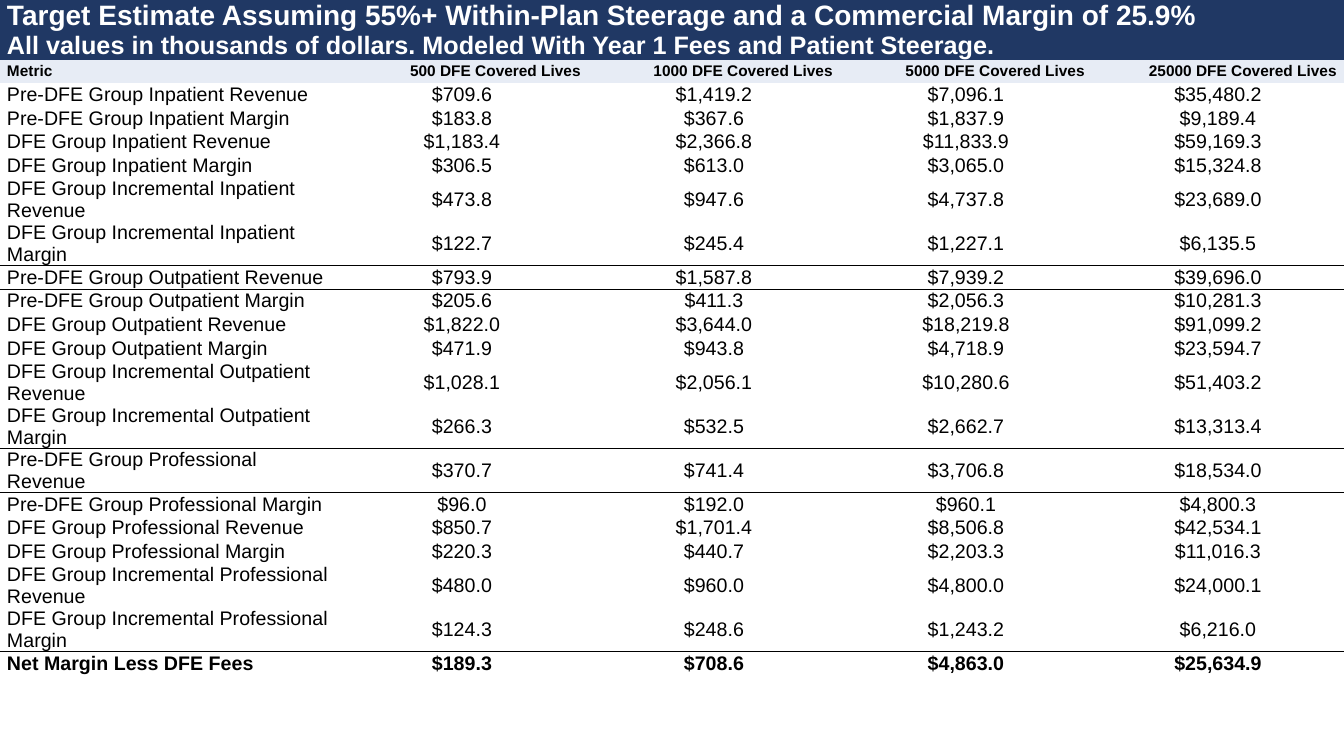
import dataclasses

import pptx
import pptx.dml.color
import pptx.enum.text
import pptx.oxml
import pptx.oxml.ns
import pptx.util

Pt = pptx.util.Pt
ALIGN = pptx.enum.text.PP_ALIGN


@dataclasses.dataclass(frozen=True)
class Theme:
    font: str = "Arial"
    navy: str = "203864"
    pale: str = "E7ECF5"
    white: str = "FFFFFF"
    black: str = "000000"
    title: float = 20
    subtitle: float = 18
    header: float = 11
    body: float = 14
    indent: float = 5
    rule: float = 1


TITLE = "Target Estimate Assuming 55%+ Within-Plan Steerage and a Commercial Margin of 25.9%"
SUBTITLE = "All values in thousands of dollars. Modeled With Year 1 Fees and Patient Steerage."
COVERED_LIVES = [500, 1000, 5000, 25000]
GROUPS = ["Pre-DFE Group", "DFE Group", "DFE Group Incremental"]
MEASURES = ["Revenue", "Margin"]
# For each care type: revenue and margin before, with, and added by the group
CARE_TYPES = {
    "Inpatient": [
        [709.6, 1419.2, 7096.1, 35480.2],
        [183.8, 367.6, 1837.9, 9189.4],
        [1183.4, 2366.8, 11833.9, 59169.3],
        [306.5, 613.0, 3065.0, 15324.8],
        [473.8, 947.6, 4737.8, 23689.0],
        [122.7, 245.4, 1227.1, 6135.5],
    ],
    "Outpatient": [
        [793.9, 1587.8, 7939.2, 39696.0],
        [205.6, 411.3, 2056.3, 10281.3],
        [1822.0, 3644.0, 18219.8, 91099.2],
        [471.9, 943.8, 4718.9, 23594.7],
        [1028.1, 2056.1, 10280.6, 51403.2],
        [266.3, 532.5, 2662.7, 13313.4],
    ],
    "Professional": [
        [370.7, 741.4, 3706.8, 18534.0],
        [96.0, 192.0, 960.1, 4800.3],
        [850.7, 1701.4, 8506.8, 42534.1],
        [220.3, 440.7, 2203.3, 11016.3],
        [480.0, 960.0, 4800.0, 24000.1],
        [124.3, 248.6, 1243.2, 6216.0],
    ],
}
NET_MARGIN = [189.3, 708.6, 4863.0, 25634.9]


class SlideBuilder:
    def __init__(self, slide, theme):
        self.slide = slide
        self.theme = theme

    def table(self, width, height, column_widths, row_height, row_count):
        """Add a plain table with no built-in style."""
        frame = self.slide.shapes.add_table(
            row_count, len(column_widths), Pt(0), Pt(0), Pt(width), Pt(height))
        table = frame.table
        table.first_row = table.horz_banding = False
        style = frame.element.find(".//" + pptx.oxml.ns.qn("a:tableStyleId"))
        style.text = "{2D5ABB26-0587-4C30-8999-92F81FD0307C}"
        for column, column_width in zip(table.columns, column_widths):
            column.width = Pt(column_width)
        for row in table.rows:
            row.height = Pt(row_height)
        frame.height = Pt(height)
        return table

    def cell(self, cell, text, size, align=ALIGN.LEFT, color=None, bold=False, fill=None):
        """Fill one cell and write its text."""
        cell.margin_left = cell.margin_right = cell.margin_top = cell.margin_bottom = 0
        cell.vertical_anchor = pptx.enum.text.MSO_ANCHOR.MIDDLE
        if fill:
            cell.fill.solid()
            cell.fill.fore_color.rgb = pptx.dml.color.RGBColor.from_string(fill)
        else:
            cell.fill.background()
        para = cell.text_frame.paragraphs[0]
        para.alignment = align
        properties = para._p.get_or_add_pPr()
        for name in ("marL", "marR"):
            properties.set(name, str(Pt(self.theme.indent)))
        properties.set("indent", "0")
        span = para.add_run()
        span.text = text
        span.font.name = self.theme.font
        span.font.size = Pt(size)
        span.font.bold = bold
        span.font.color.rgb = pptx.dml.color.RGBColor.from_string(color or self.theme.black)

    def banner(self, table, row, text, size):
        """Write a heading across the whole table."""
        cells = list(table.rows[row].cells)
        cells[0].merge(cells[-1])
        self.cell(cells[0], text, size, color=self.theme.white, bold=True, fill=self.theme.navy)

    def row(self, table, row, texts, size, align, bold=False, fill=None):
        """Write a label and the cells that follow it."""
        for index, text in enumerate(texts):
            self.cell(table.cell(row, index), text, size,
                      align if index else ALIGN.LEFT, bold=bold, fill=fill)

    def rule(self, table, row):
        """Draw the line between a row and the next one."""
        for edge, line_row in (("lnB", row), ("lnT", row + 1)):
            for cell in table.rows[line_row].cells:
                line = pptx.oxml.parse_xml(
                    f'<a:{edge} {pptx.oxml.ns.nsdecls("a")} w="{Pt(self.theme.rule)}">'
                    f'<a:solidFill><a:srgbClr val="{self.theme.black}"/></a:solidFill>'
                    f'<a:prstDash val="solid"/></a:{edge}>')
                cell._tc.get_or_add_tcPr().insert(0, line)


def dollars(values):
    return [f"${value:,.1f}" for value in values]


def main():
    theme = Theme()
    deck = pptx.Presentation()
    deck.slide_width, deck.slide_height = Pt(960), Pt(540)
    page = deck.slides.add_slide(deck.slide_layouts[6])
    builder = SlideBuilder(page, theme)

    table = builder.table(960, 540, [240] + [180] * 4, 16.88, 22)

    # Headings
    builder.banner(table, 0, TITLE, theme.title)
    builder.banner(table, 1, SUBTITLE, theme.subtitle)
    headings = ["Metric"] + [f"{lives} DFE Covered Lives" for lives in COVERED_LIVES]
    builder.row(table, 2, headings, theme.header, ALIGN.RIGHT, bold=True, fill=theme.pale)

    # One section per care type, closed by a line
    row = 3
    for care, figures in CARE_TYPES.items():
        labels = [f"{group} {care} {measure}" for group in GROUPS for measure in MEASURES]
        for label, values in zip(labels, figures):
            builder.row(table, row, [label] + dollars(values), theme.body, ALIGN.CENTER)
            row += 1
        builder.rule(table, row - 1)

    # Total
    total = ["Net Margin Less DFE Fees"] + dollars(NET_MARGIN)
    builder.row(table, row, total, theme.body, ALIGN.CENTER, bold=True)

    deck.save("out.pptx")


if __name__ == "__main__":
    main()
